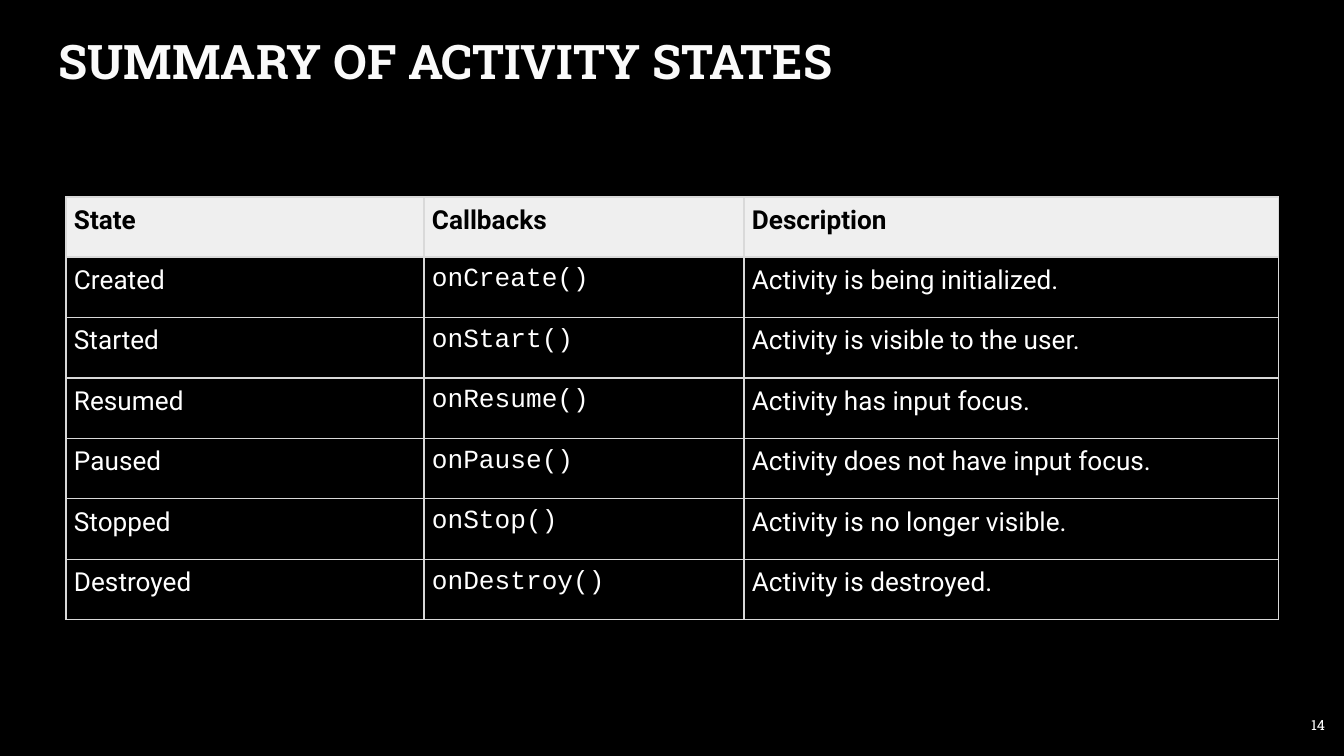
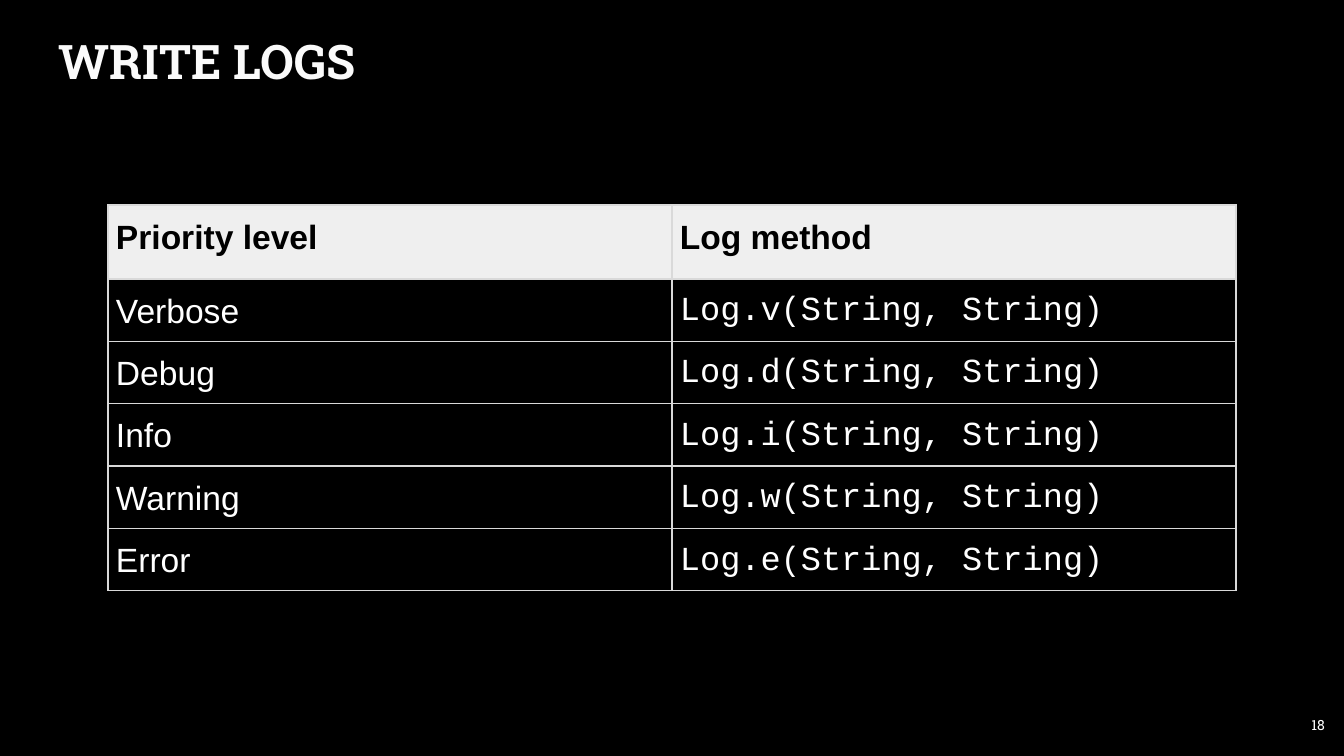
from dataclasses import dataclass

from lxml.etree import SubElement
from pptx import Presentation
from pptx.dml.color import RGBColor
from pptx.enum.text import MSO_ANCHOR, PP_ALIGN
from pptx.oxml.ns import qn
from pptx.util import Pt

SLIDES = [
    {
        "title": "SUMMARY OF ACTIVITY STATES",
        "number": "14",
        "header": ("State", "Callbacks", "Description"),
        "rows": [
            ("Created", "onCreate()", "Activity is being initialized."),
            ("Started", "onStart()", "Activity is visible to the user."),
            ("Resumed", "onResume()", "Activity has input focus."),
            ("Paused", "onPause()", "Activity does not have input focus."),
            ("Stopped", "onStop()", "Activity is no longer visible."),
            ("Destroyed", "onDestroy()", "Activity is destroyed."),
        ],
        "corner": (66, 197),
        "columns": (358, 320, 535),
        "header_height": 60,
        "body_height": 363,
        "font": "Roboto",
        "size": 14,
        "header_spacing": {"space_after": Pt(6)},
        "body_spacing": {"space_after": Pt(6)},
        "hanging": 0,
    },
    {
        "title": "WRITE LOGS",
        "number": "18",
        "header": ("Priority level", "Log method"),
        "rows": [
            ("Verbose", "Log.v(String, String)"),
            ("Debug", "Log.d(String, String)"),
            ("Info", "Log.i(String, String)"),
            ("Warning", "Log.w(String, String)"),
            ("Error", "Log.e(String, String)"),
        ],
        "corner": (108, 205),
        "columns": (564, 564),
        "header_height": 74,
        "body_height": 305,
        "font": "Arial",
        "size": 18,
        "header_spacing": {"line_spacing": 1.15, "space_before": Pt(6)},
        "body_spacing": {"line_spacing": 1.15},
        "hanging": 40,
    },
]


@dataclass(frozen=True)
class Theme:
    background: str = "000000"
    title: str = "FAFAFA"
    text: str = "FFFFFF"
    header_text: str = "000000"
    header_fill: str = "EFEFEF"
    border: str = "D9D9D9"
    border_width: float = 0.75
    title_font: str = "Roboto Slab"
    code_font: str = "Courier New"
    title_size: float = 25.5
    number_size: float = 7.5


THEME = Theme()
SLIDE_SIZE = (1344, 756)
TITLE_BOX = (46, 25, 1253, 85)
NUMBER_BOX = (1257, 696, 81, 58)
BOX_INSET = 13
CELL_INSET = 8
CODE_COLUMN = 1
SIDES = ("left", "top", "right", "bottom")


def px(length):
    return round(length * 914400 / 134.4)


def apply(target, values):
    for name, value in values.items():
        setattr(target, name, value)


def insets(length):
    return {f"margin_{side}": px(length) for side in SIDES}


def write(paragraph, text, font, size, color, bold=False, **spacing):
    apply(paragraph, spacing)
    run = paragraph.add_run()
    run.text = text
    apply(run.font, {"name": font, "size": Pt(size), "bold": bold})
    run.font.color.rgb = RGBColor.from_string(color)


def add_label(slide, box, anchor, text, size, color, **style):
    frame = slide.shapes.add_textbox(*map(px, box)).text_frame
    apply(frame, {"word_wrap": True, "vertical_anchor": anchor, **insets(BOX_INSET)})
    write(frame.paragraphs[0], text, THEME.title_font, size, color, **style)


def add_borders(cell):
    properties = cell._tc.get_or_add_tcPr()
    for side in SIDES:
        line = SubElement(properties, qn(f"a:ln{side[0].upper()}"), w=str(Pt(THEME.border_width)))
        fill = SubElement(line, qn("a:solidFill"))
        SubElement(fill, qn("a:srgbClr"), val=THEME.border)


def fill_cell(cell, text, content, column, is_header):
    apply(cell, {"vertical_anchor": MSO_ANCHOR.TOP, **insets(CELL_INSET)})
    add_borders(cell)
    if is_header:
        cell.fill.solid()
        cell.fill.fore_color.rgb = RGBColor.from_string(THEME.header_fill)
    else:
        cell.fill.background()
    paragraph = cell.text_frame.paragraphs[0]
    if content["hanging"]:
        indent = px(content["hanging"])
        properties = paragraph._p.get_or_add_pPr()
        properties.set("marL", str(indent))
        properties.set("indent", str(-indent))
    is_code = column == CODE_COLUMN and not is_header
    write(
        paragraph,
        text,
        THEME.code_font if is_code else content["font"],
        content["size"],
        THEME.header_text if is_header else THEME.text,
        is_header,
        **content["header_spacing" if is_header else "body_spacing"],
    )


def add_content_table(slide, content):
    rows = [content["header"], *content["rows"]]
    columns = content["columns"]
    extent = (sum(columns), content["header_height"] + content["body_height"])
    box = map(px, (*content["corner"], *extent))
    table = slide.shapes.add_table(len(rows), len(columns), *box).table
    apply(table, {"first_row": False, "horz_banding": False})
    for column, width in zip(table.columns, columns):
        column.width = px(width)
    body_row = content["body_height"] / len(content["rows"])
    for index, texts in enumerate(rows):
        table.rows[index].height = px(body_row if index else content["header_height"])
        for column, text in enumerate(texts):
            fill_cell(table.cell(index, column), text, content, column, index == 0)


def add_slide(deck, content):
    slide = deck.slides.add_slide(deck.slide_layouts[6])
    slide.background.fill.solid()
    slide.background.fill.fore_color.rgb = RGBColor.from_string(THEME.background)
    add_label(slide, TITLE_BOX, MSO_ANCHOR.TOP, content["title"],
              THEME.title_size, THEME.title, bold=True, line_spacing=0.9)
    add_label(slide, NUMBER_BOX, MSO_ANCHOR.MIDDLE, content["number"],
              THEME.number_size, THEME.text, alignment=PP_ALIGN.RIGHT)
    add_content_table(slide, content)


def main():
    deck = Presentation()
    apply(deck, dict(zip(("slide_width", "slide_height"), map(px, SLIDE_SIZE))))
    for content in SLIDES:
        add_slide(deck, content)
    deck.save("out.pptx")


if __name__ == "__main__":
    main()
